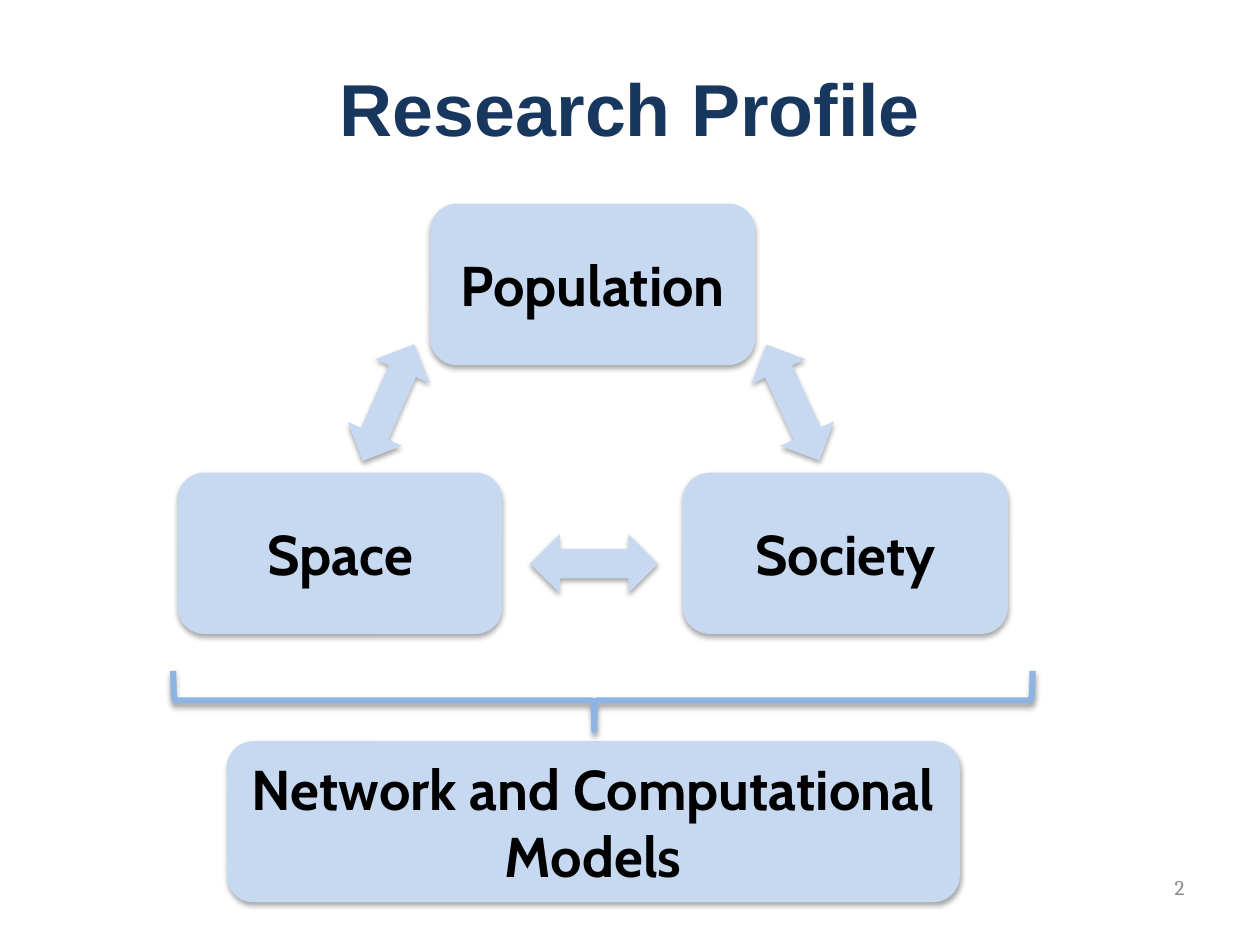
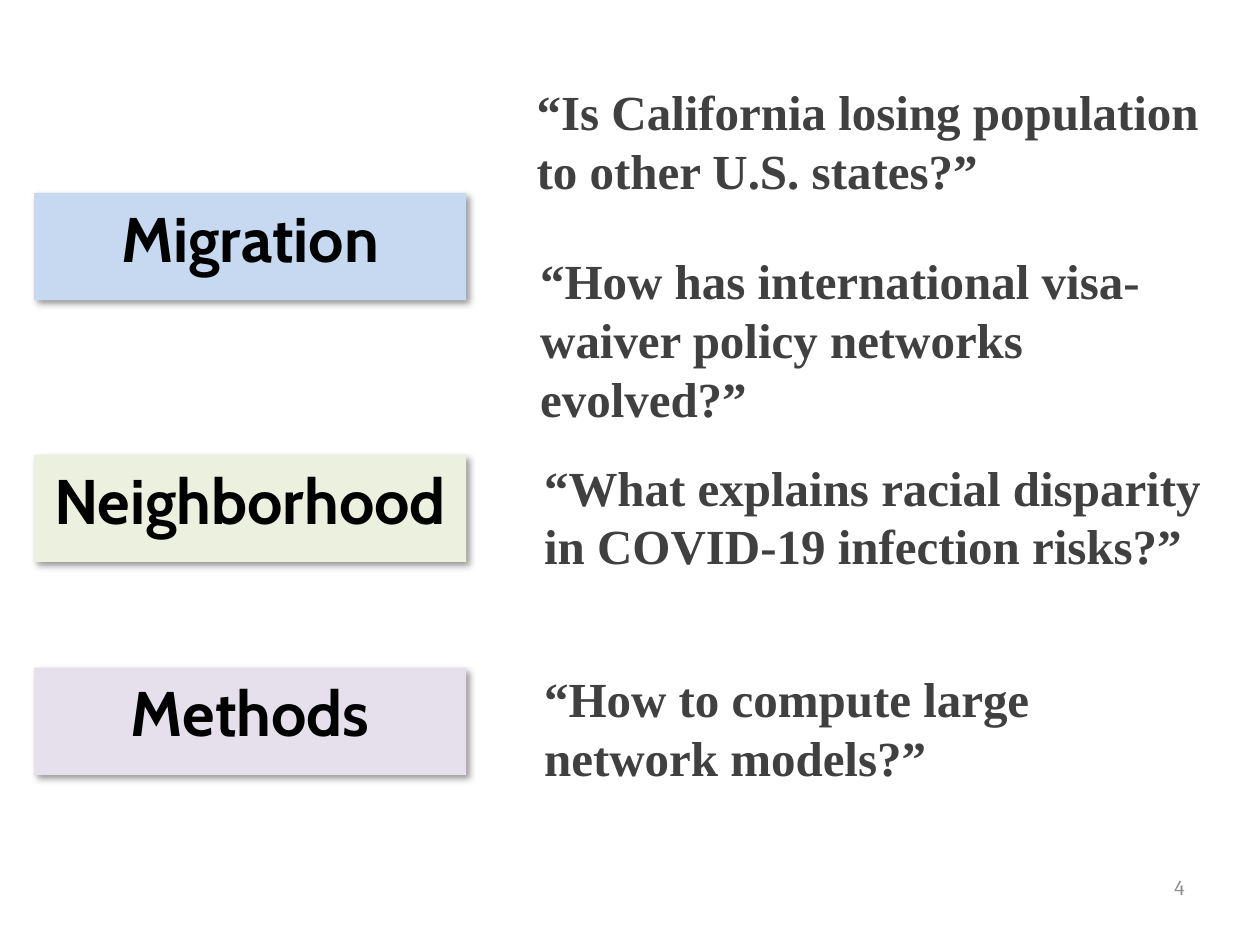
import pptx
import pptx.dml.color
import pptx.enum.shapes
import pptx.enum.text
import pptx.oxml
import pptx.oxml.ns
import pptx.util

Cm = pptx.util.Cm
Pt = pptx.util.Pt
RGBColor = pptx.dml.color.RGBColor
SHAPE = pptx.enum.shapes.MSO_SHAPE
ALIGN = pptx.enum.text.PP_ALIGN
ANCHOR = pptx.enum.text.MSO_ANCHOR
GROW = pptx.enum.text.MSO_AUTO_SIZE.SHAPE_TO_FIT_TEXT

NAVY = RGBColor(0x17, 0x37, 0x5E)
PALE_BLUE = RGBColor(0xC6, 0xD9, 0xF1)
MID_BLUE = RGBColor(0x8E, 0xB4, 0xE3)
PALE_GREEN = RGBColor(0xEB, 0xF1, 0xDE)
PALE_PURPLE = RGBColor(0xE6, 0xE0, 0xEC)
BLACK = RGBColor(0x00, 0x00, 0x00)
DARK_GRAY = RGBColor(0x40, 0x40, 0x40)
GRAY = RGBColor(0x8C, 0x8C, 0x8C)

TITLE = {"name": "Arial", "size": Pt(42), "bold": True, "color": NAVY}
NUMBER = {"name": "Cambria", "size": Pt(12), "bold": False, "color": GRAY}
CONCEPT = {"name": "Cabin", "size": Pt(32), "bold": True, "color": BLACK}
TOPIC = {"name": "Cabin", "size": Pt(36), "bold": True, "color": BLACK}
QUESTION = {"name": "Times New Roman", "size": Pt(28), "bold": True, "color": DARK_GRAY}


def write(box, text, style, align, anchor):
    frame = box.text_frame
    frame.word_wrap = True
    frame.vertical_anchor = anchor
    para = frame.paragraphs[0]
    para.alignment = align
    span = para.add_run()
    span.text = text
    for key, value in style.items():
        if key == "color":
            span.font.color.rgb = value
        else:
            setattr(span.font, key, value)


def cast_shadow(shape, opacity, blur, distance, angle):
    shape.shadow.inherit = False
    effects = shape._element.spPr.find(pptx.oxml.ns.qn("a:effectLst"))
    effects.append(pptx.oxml.parse_xml(
        f'<a:outerShdw {pptx.oxml.ns.nsdecls("a")} blurRad="{Pt(blur)}" '
        f'dist="{Pt(distance)}" dir="{angle * 60000}" rotWithShape="0">'
        f'<a:srgbClr val="000000"><a:alpha val="{opacity * 1000}"/></a:srgbClr>'
        '</a:outerShdw>'))


deck = pptx.Presentation()
deck.slide_width = Cm(25.4)
deck.slide_height = Cm(19.05)
pages = []
for number in ("2", "4"):
    page = deck.slides.add_slide(deck.slide_layouts[6])
    box = page.shapes.add_textbox(Cm(18.21), Cm(17.37), Cm(5.92), Cm(1.02))
    write(box, number, NUMBER, ALIGN.RIGHT, ANCHOR.MIDDLE)
    pages.append(page)
profile, questions = pages

title = profile.shapes.add_textbox(0, Cm(1.02), Cm(25.4), Cm(3.68))
title.text_frame.margin_top = Cm(0.25)
write(title, "Research Profile", TITLE, ALIGN.CENTER, ANCHOR.TOP)

space_left, society_left = 3.58, 13.77
concepts = [
    ("Space", space_left, 9.53, 6.55),
    ("Society", society_left, 9.53, 6.55),
    ("Population", (space_left + society_left) / 2, 4.11, 6.55),
    ("Network and Computational Models", 4.57, 14.94, 14.78),
]
for text, left, top, width in concepts:
    box = profile.shapes.add_shape(
        SHAPE.ROUNDED_RECTANGLE, Cm(left), Cm(top), Cm(width), Cm(3.25))
    box.fill.solid()
    box.fill.fore_color.rgb = PALE_BLUE
    box.line.fill.background()
    cast_shadow(box, 35, 3.1, 1.8, 90)
    write(box, text, CONCEPT, ALIGN.CENTER, ANCHOR.MIDDLE)

for left, top, turn in ((7.24, 6.83, 23.8), (15.39, 6.83, 335.4), (11.38, 10.08, 90)):
    arrow = profile.shapes.add_shape(
        SHAPE.UP_DOWN_ARROW, Cm(left), Cm(top), Cm(1.19), Cm(2.57))
    arrow.rotation = turn
    arrow.fill.solid()
    arrow.fill.fore_color.rgb = PALE_BLUE
    arrow.line.fill.background()
    cast_shadow(arrow, 35, 3.1, 1.8, 90)

brace = profile.shapes.add_shape(
    SHAPE.LEFT_BRACE, Cm(11.56), Cm(5.46), Cm(1.19), Cm(17.32))
brace.rotation = 270
brace.adjustments[0] = 0.03
brace.adjustments[1] = 0.49
brace.fill.background()
brace.line.color.rgb = MID_BLUE
brace.line.width = Pt(3.5)
cast_shadow(brace, 38, 3.1, 1.6, 90)

topics = [
    ("Migration", 3.89, PALE_BLUE),
    ("Neighborhood", 9.17, PALE_GREEN),
    ("Methods", 13.46, PALE_PURPLE),
]
for text, top, color in topics:
    label = questions.shapes.add_shape(
        SHAPE.RECTANGLE, Cm(0.69), Cm(top), Cm(8.71), Cm(2.16))
    label.fill.solid()
    label.fill.fore_color.rgb = color
    label.line.fill.background()
    cast_shadow(label, 40, 4, 3, 45)
    write(label, text, TOPIC, ALIGN.CENTER, ANCHOR.TOP)

quotes = [
    ("“Is California losing population to other U.S. states?”", 10.57, 1.52, 14.4, 2.64),
    ("“How has international visa-waiver policy networks evolved?”", 10.64, 4.93, 14.53, 3.84),
    ("“What explains racial disparity in COVID-19 infection risks?”", 10.72, 9.09, 14.4, 2.64),
    ("“How to compute large network models?”", 10.72, 13.36, 14, 2.64),
]
for text, left, top, width, height in quotes:
    box = questions.shapes.add_textbox(Cm(left), Cm(top), Cm(width), Cm(height))
    box.text_frame.auto_size = GROW
    write(box, text, QUESTION, ALIGN.LEFT, ANCHOR.TOP)

deck.save("out.pptx")
